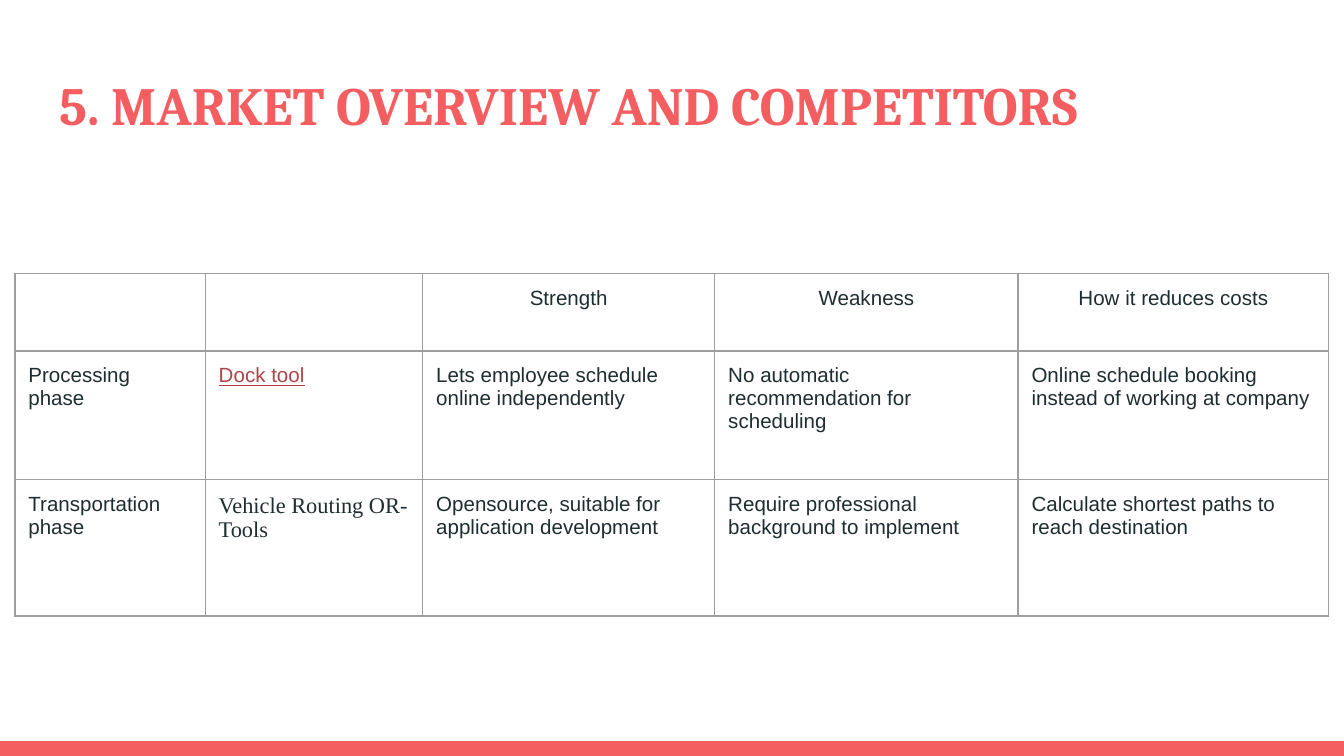
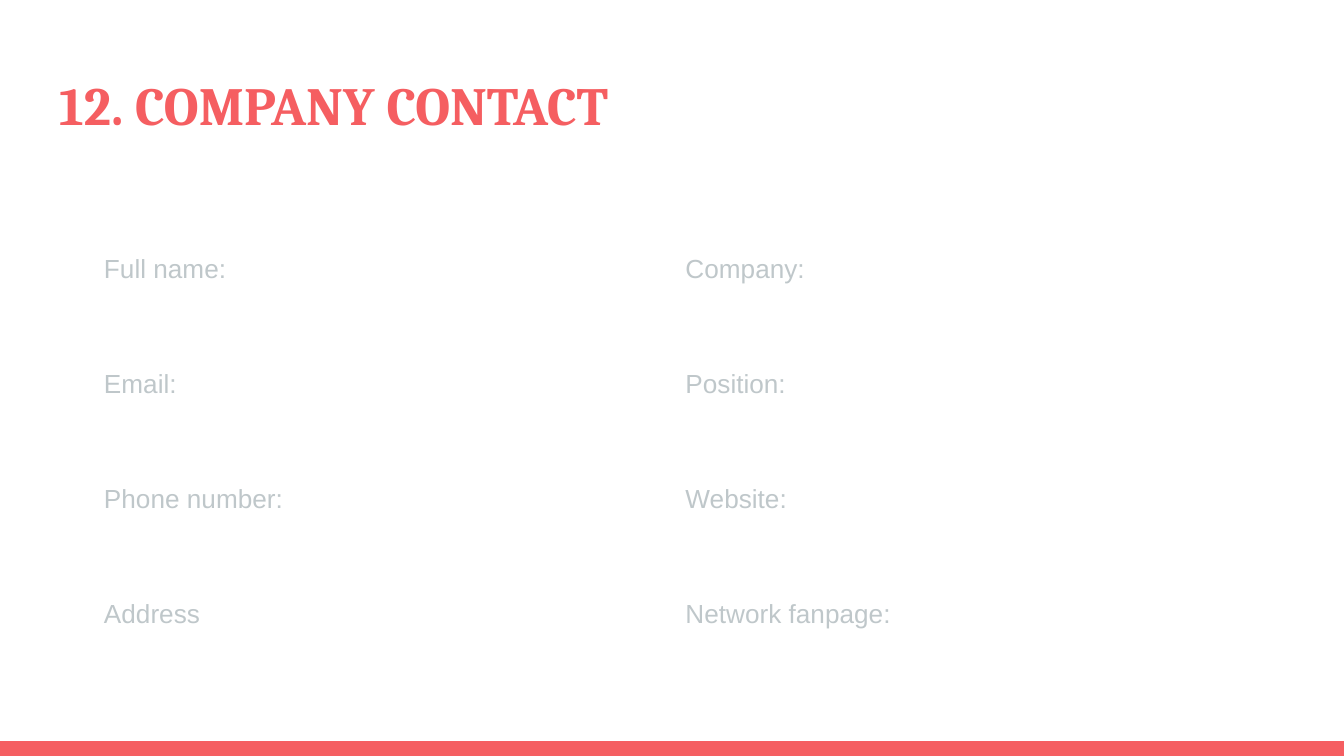
from lxml import etree
from pptx import Presentation
from pptx.dml.color import RGBColor
from pptx.enum.shapes import MSO_SHAPE
from pptx.enum.text import MSO_ANCHOR, PP_ALIGN
from pptx.oxml.ns import qn
from pptx.util import Pt

RECTANGLE = MSO_SHAPE.RECTANGLE
TOP = MSO_ANCHOR.TOP
LEFT, CENTER = PP_ALIGN.LEFT, PP_ALIGN.CENTER
TITLE_ONLY = 5

COLORS = {
    "accent": "F55E61",
    "text": "1E2D31",
    "link": "AF4345",
    "label": "BFC7CA",
    "grid": "9E9E9E",
    "white": "FFFFFF",
}
SLIDE_WIDTH, SLIDE_HEIGHT = 720, 405
BAND_HEIGHT = 7.9
TITLE_BOX = (24.5, 31, 671, 49)
INSET = Pt(7.2)
BORDER_WIDTH = Pt(0.75)

COMPETITORS = [
    ["", "", "Strength", "Weakness", "How it reduces costs"],
    ["Processing phase", "Dock tool", "Lets employee schedule online independently",
     "No automatic recommendation for scheduling",
     "Online schedule booking instead of working at company"],
    ["Transportation phase", "Vehicle Routing OR-Tools",
     "Opensource, suitable for application development",
     "Require professional background to implement",
     "Calculate shortest paths to reach destination"],
]
CONTACT_FIELDS = [
    ["Full name:", "Company:"],
    ["Email:", "Position:"],
    ["Phone number:", "Website:"],
    ["Address", "Network fanpage:"],
]


def rgb(name):
    """Return the named colour."""
    return RGBColor.from_string(COLORS[name])


def style_font(font, name, size, color):
    """Set typeface, size and colour of a font."""
    font.name = name
    font.size = Pt(size)
    font.color.rgb = rgb(color)


def set_insets(target):
    """Give a text frame or table cell equal margins."""
    target.margin_left = target.margin_right = INSET
    target.margin_top = target.margin_bottom = INSET


def add_band(slide):
    """Draw the coloured band along the bottom edge."""
    band = slide.shapes.add_shape(
        RECTANGLE, 0, Pt(SLIDE_HEIGHT - BAND_HEIGHT), Pt(SLIDE_WIDTH), Pt(BAND_HEIGHT))
    band.shadow.inherit = False
    band.fill.solid()
    band.fill.fore_color.rgb = rgb("accent")
    band.line.fill.background()


def add_titled_slide(presentation, text):
    """Add a slide with its title and bottom band."""
    slide = presentation.slides.add_slide(presentation.slide_layouts[TITLE_ONLY])
    slide.background.fill.solid()
    slide.background.fill.fore_color.rgb = rgb("white")
    add_band(slide)
    title = slide.shapes.title
    title.left, title.top, title.width, title.height = map(Pt, TITLE_BOX)
    frame = title.text_frame
    frame.text = text
    frame.word_wrap = True
    frame.vertical_anchor = TOP
    set_insets(frame)
    paragraph = frame.paragraphs[0]
    paragraph.alignment = LEFT
    font = paragraph.runs[0].font
    style_font(font, "Cambria", 28.8, "accent")
    font.bold = True
    return slide


def set_borders(cell, color):
    """Draw a thin line on all four sides of a cell."""
    properties = cell._tc.get_or_add_tcPr()
    for side in ("a:lnL", "a:lnR", "a:lnT", "a:lnB"):
        line = etree.SubElement(properties, qn(side), w=str(BORDER_WIDTH))
        fill = etree.SubElement(line, qn("a:solidFill"))
        etree.SubElement(fill, qn("a:srgbClr"), val=COLORS[color])


def add_grid(slide, origin, widths, heights, rows, size, color, border):
    """Add a plain ruled table at the origin and return it."""
    left, top = origin
    table = slide.shapes.add_table(
        len(heights), len(widths), Pt(left), Pt(top),
        Pt(sum(widths)), Pt(sum(heights))).table
    table.first_row = table.horz_banding = False
    for column, width in zip(table.columns, widths):
        column.width = Pt(width)
    for row, height, texts in zip(table.rows, heights, rows):
        row.height = Pt(height)
        for cell, text in zip(row.cells, texts):
            set_borders(cell, border)
            cell.fill.background()
            set_insets(cell)
            if text:
                cell.text_frame.text = text
                style_font(cell.text_frame.paragraphs[0].runs[0].font, "Arial", size, color)
    return table


def build_competitors(presentation):
    """Build the slide that compares competitors."""
    slide = add_titled_slide(presentation, "5. MARKET OVERVIEW AND COMPETITORS")
    table = add_grid(slide, (8, 146.5), [102, 116.5, 156.5, 162.5, 166.5],
                     [41.5, 69, 73], COMPETITORS, 11, "text", "grid")
    for column in range(2, 5):
        table.cell(0, column).text_frame.paragraphs[0].alignment = CENTER
    product, library = (
        table.cell(row, 1).text_frame.paragraphs[0].runs[0].font for row in (1, 2))
    product.color.rgb = rgb("link")
    product.underline = True
    style_font(library, "Times New Roman", 12, "text")


def build_contact(presentation):
    """Build the slide with the contact fields."""
    slide = add_titled_slide(presentation, "12. COMPANY CONTACT")
    add_grid(slide, (48.5, 129.5), [311.5] * 2, [61.6] * 4,
             CONTACT_FIELDS, 14, "label", "white")


def main():
    """Create and save the presentation."""
    presentation = Presentation()
    presentation.slide_width = Pt(SLIDE_WIDTH)
    presentation.slide_height = Pt(SLIDE_HEIGHT)
    build_competitors(presentation)
    build_contact(presentation)
    presentation.save("out.pptx")


if __name__ == "__main__":
    main()
